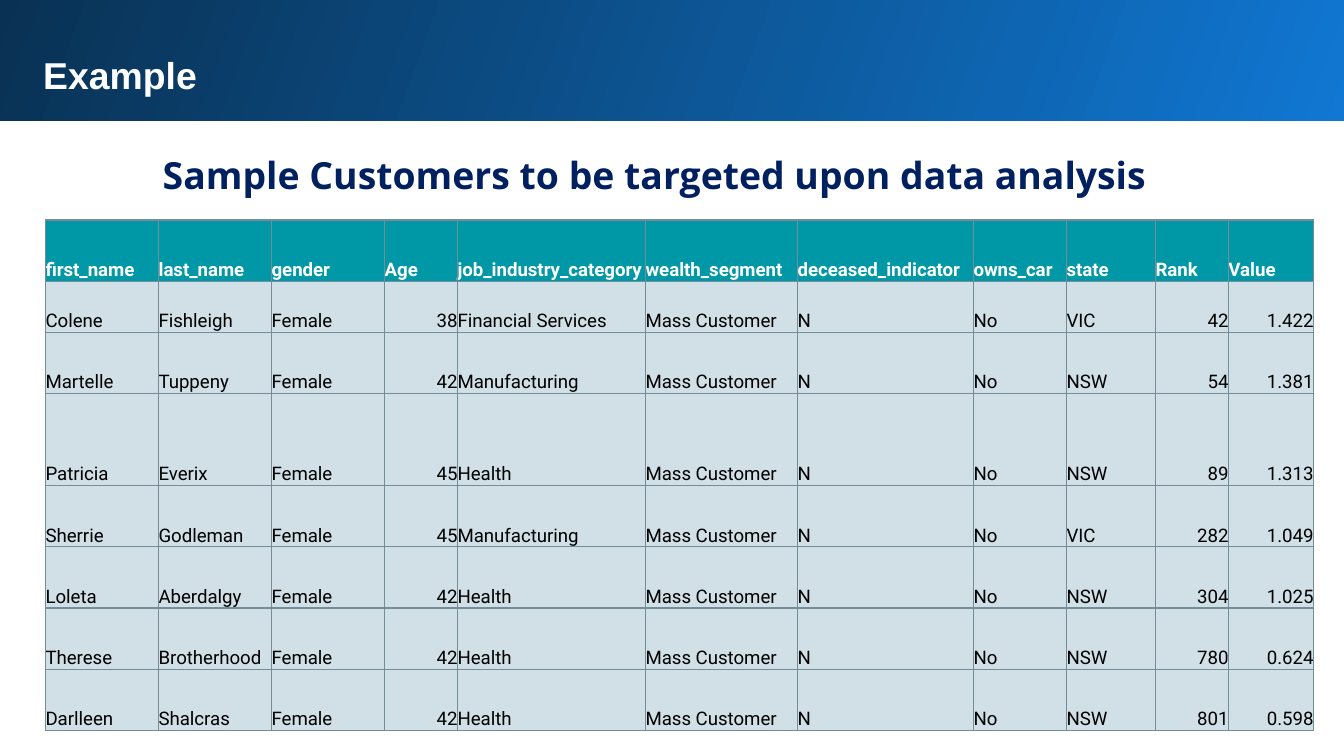
from lxml import etree
from pptx import Presentation
from pptx.dml.color import RGBColor
from pptx.enum import shapes, text
from pptx.oxml import ns
from pptx.util import Inches, Pt

COLORS = {
    "banner_light": "1077D2", "banner_dark": "093153", "white": "FFFFFF",
    "navy": "002060", "header": "0097A7", "body": "D1E0E6",
    "black": "000000", "border": "748D99",
}

# Widescreen page, 16:9
deck = Presentation()
deck.slide_width = Inches(10)
deck.slide_height = deck.slide_width * 9 // 16
page = deck.slides.add_slide(deck.slide_layouts[6])


def area(left, top, width, height):
    """Turn percentages of the slide's size into lengths."""
    return [int(share * side / 100) for share, side in zip(
        (left, top, width, height), (deck.slide_width, deck.slide_height) * 2)]


def write(frame, wording, color, align, **font):
    """Put one formatted line into a text frame."""
    para = frame.paragraphs[0]
    para.alignment = align
    span = para.add_run()
    span.text = wording
    for name, value in font.items():
        setattr(span.font, name, value)
    span.font.color.rgb = RGBColor.from_string(COLORS[color])
    return para


# Gradient banner
banner = page.shapes.add_shape(shapes.MSO_SHAPE.RECTANGLE, *area(-0.2, -0.36, 100.5, 16.36))
banner.shadow.inherit = False
banner.line.fill.background()
banner.fill.gradient()
banner.fill.gradient_angle = 160
for stop, color, position in zip(banner.fill.gradient_stops, ("banner_light", "banner_dark"), (0, 1)):
    stop.color.rgb = RGBColor.from_string(COLORS[color])
    stop.position = position

# Title and subtitle
HEADINGS = [
    ("Example", 5.15, 9.6, "white", "Arial", text.PP_ALIGN.LEFT, 1),
    ("Sample Customers to be targeted upon data analysis ", 17.42, 9.96,
     "navy", "Open Sans", text.PP_ALIGN.CENTER, 1.15),
]
frame_format = {
    "word_wrap": True, "auto_size": text.MSO_AUTO_SIZE.SHAPE_TO_FIT_TEXT,
    "margin_left": Inches(0.1), "margin_right": Inches(0.1),
    "margin_top": Inches(0.1), "margin_bottom": Inches(0.1),
}
for wording, top, height, color, face, align, spacing in HEADINGS:
    box = page.shapes.add_textbox(*area(2.23, top, 93.7, height))
    for name, value in frame_format.items():
        setattr(box.text_frame, name, value)
    para = write(box.text_frame, wording, color, align, name=face, size=Pt(20), bold=True)
    para.line_spacing = spacing

# Customer table: column widths and row heights are percentages of the slide
COLUMNS = {
    "first_name": 8.41, "last_name": 8.41, "gender": 8.41, "Age": 5.43,
    "job_industry_category": 13.99, "wealth_segment": 11.31,
    "deceased_indicator": 13.1, "owns_car": 6.92, "state": 6.62,
    "Rank": 5.43, "Value": 6.33,
}
ROW_HEIGHTS = [8.11, 6.75, 8.11, 12.16] + [8.11] * 4
NUMERIC = {"Age", "Rank", "Value"}
CUSTOMERS = [
    ("Colene", "Fishleigh", "38", "Financial Services", "VIC", "42", "1.422"),
    ("Martelle", "Tuppeny", "42", "Manufacturing", "NSW", "54", "1.381"),
    ("Patricia", "Everix", "45", "Health", "NSW", "89", "1.313"),
    ("Sherrie", "Godleman", "45", "Manufacturing", "VIC", "282", "1.049"),
    ("Loleta", "Aberdalgy", "42", "Health", "NSW", "304", "1.025"),
    ("Therese", "Brotherhood", "42", "Health", "NSW", "780", "0.624"),
    ("Darlleen", "Shalcras", "42", "Health", "NSW", "801", "0.598"),
]
rows = [list(COLUMNS)] + [
    [first, last, "Female", age, industry, "Mass Customer", "N", "No", state, rank, value]
    for first, last, age, industry, state, rank, value in CUSTOMERS
]
table = page.shapes.add_table(
    len(rows), len(COLUMNS),
    *area(3.39, 29.09, sum(COLUMNS.values()), sum(ROW_HEIGHTS))).table
for column, share in zip(table.columns, COLUMNS.values()):
    column.width = int(deck.slide_width * share / 100)
for row, share in zip(table.rows, ROW_HEIGHTS):
    row.height = int(deck.slide_height * share / 100)

cell_format = {"vertical_anchor": text.MSO_ANCHOR.BOTTOM, "margin_left": 0,
               "margin_right": 0, "margin_top": 0, "margin_bottom": 0}
for r, values in enumerate(rows):
    is_header = r == 0
    for c, (heading, wording) in enumerate(zip(COLUMNS, values)):
        cell = table.cell(r, c)
        for name, value in cell_format.items():
            setattr(cell, name, value)
        right = heading in NUMERIC and not is_header
        write(cell.text_frame, wording, "white" if is_header else "black",
              text.PP_ALIGN.RIGHT if right else text.PP_ALIGN.LEFT,
              name="Roboto", size=Pt(10), bold=is_header)

        # Borders come before the fill in the cell properties
        properties = cell._tc.get_or_add_tcPr()
        for side in ("a:lnL", "a:lnR", "a:lnT", "a:lnB"):
            line = etree.SubElement(properties, ns.qn(side), w=str(Pt(0.75)))
            paint = etree.SubElement(line, ns.qn("a:solidFill"))
            etree.SubElement(paint, ns.qn("a:srgbClr"), val=COLORS["border"])
        cell.fill.solid()
        cell.fill.fore_color.rgb = RGBColor.from_string(COLORS["header" if is_header else "body"])

deck.save("out.pptx")
